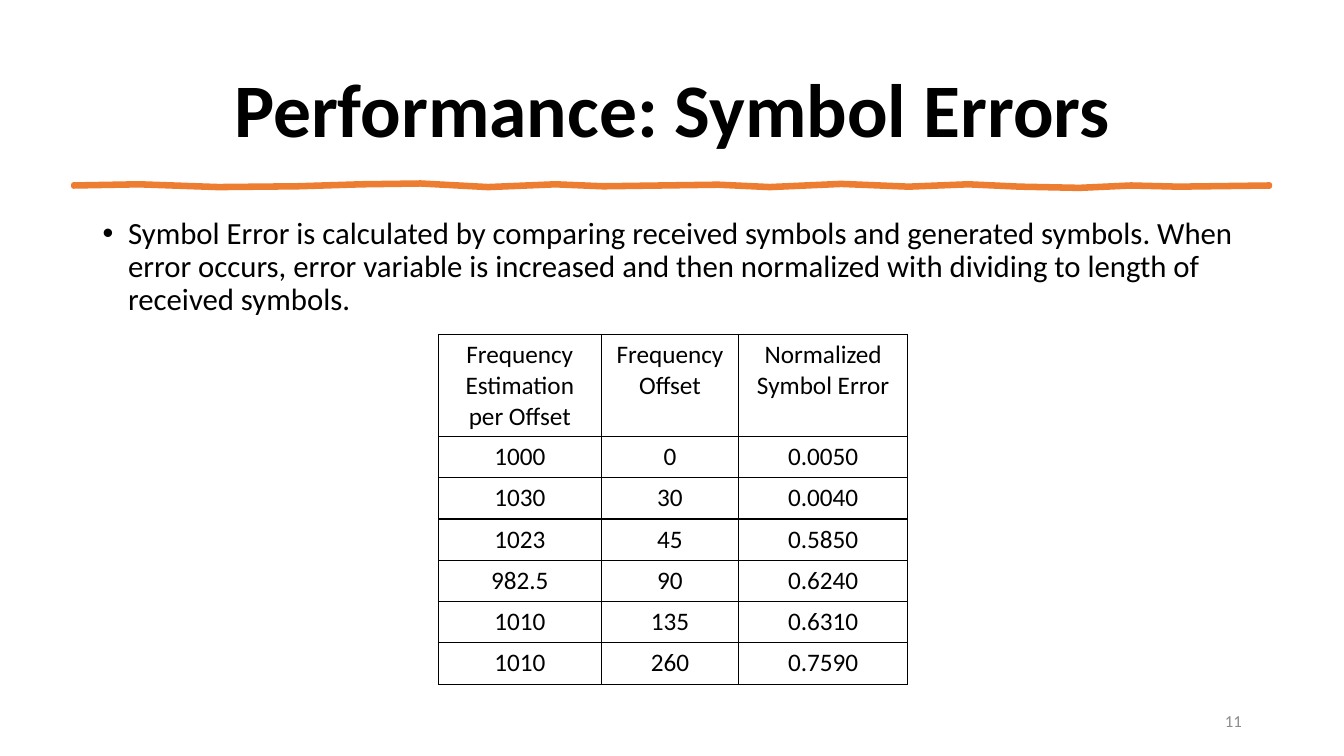
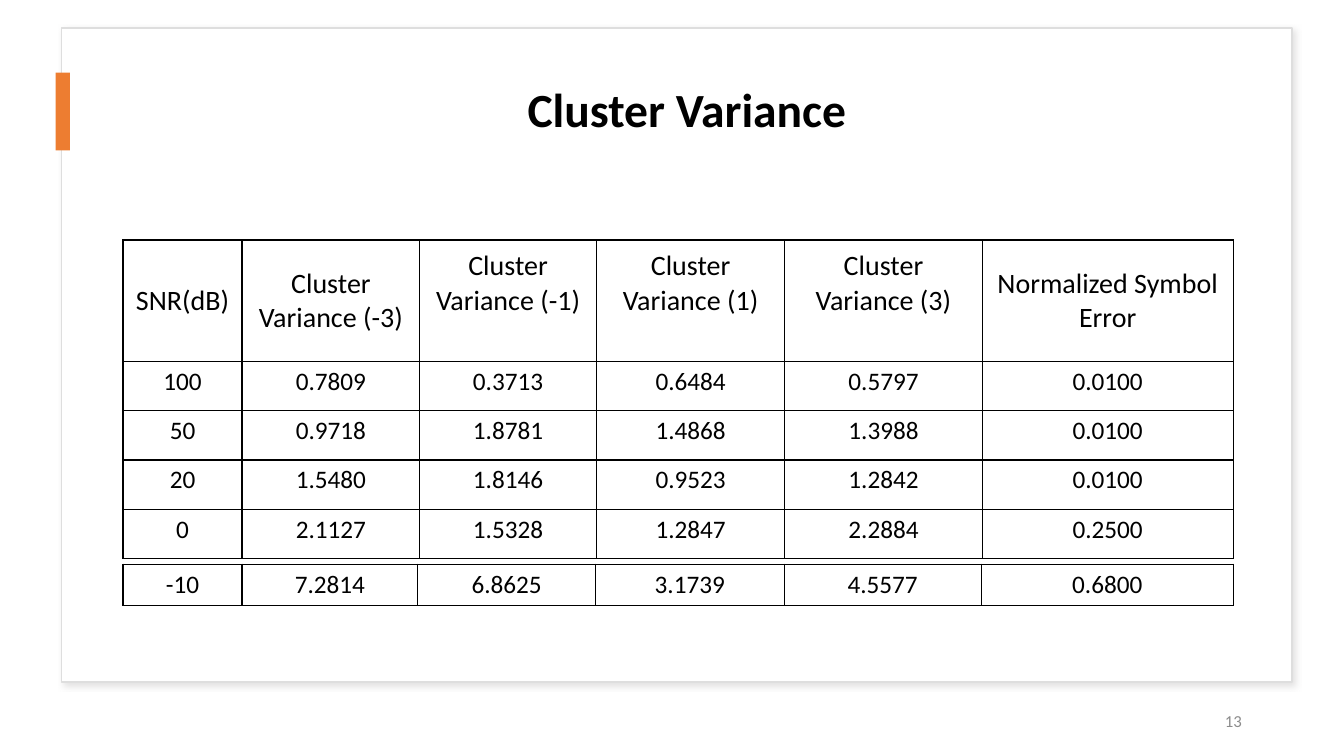
from lxml import etree
from pptx import Presentation
from pptx.dml.color import RGBColor
from pptx.enum import shapes, text
from pptx.oxml import ns
from pptx.util import Cm, Pt

BLACK = RGBColor(0x00, 0x00, 0x00)
WHITE = RGBColor(0xFF, 0xFF, 0xFF)
ORANGE = RGBColor(0xED, 0x7D, 0x31)
GREY = RGBColor(0x8C, 0x8C, 0x8C)
CARD_EDGE = RGBColor(0xDE, 0xDE, 0xDE)
CARD_SHADOW = RGBColor(0xC5, 0xC3, 0xC3)
FONT = "Calibri"
CENTER, RIGHT = text.PP_ALIGN.CENTER, text.PP_ALIGN.RIGHT
TOP, MIDDLE = text.MSO_ANCHOR.TOP, text.MSO_ANCHOR.MIDDLE


def add_xml(parent, tag, **attributes):
    return etree.SubElement(parent, ns.qn(tag), **attributes)


def write(frame, content, size=18, color=BLACK, bold=False, align=None,
          spacing=None, bullet=False):
    """Put one formatted paragraph into a text frame."""
    frame.word_wrap = True
    paragraph = frame.paragraphs[0]
    paragraph.alignment = align
    paragraph.line_spacing = spacing
    if bullet:
        properties = paragraph._p.get_or_add_pPr()
        properties.set("marL", str(Cm(0.64)))
        properties.set("indent", str(-Cm(0.64)))
        add_xml(properties, "a:buFont", typeface="Arial")
        add_xml(properties, "a:buChar", char="•")
    run = paragraph.add_run()
    run.text = content
    run.font.name = FONT
    run.font.size = Pt(size)
    run.font.bold = bold
    run.font.color.rgb = color


class Deck:
    """Holds the shared style and the slide being built."""

    def __init__(self):
        self.presentation = Presentation()
        self.presentation.slide_width = Cm(33.87)
        self.presentation.slide_height = Cm(19.05)
        self.slide = None

    def new_slide(self, number):
        blank = self.presentation.slide_layouts[6]
        self.slide = self.presentation.slides.add_slide(blank)
        self.text(str(number), 23.93, 17.65, 7.62, 1.02, anchor=MIDDLE,
                  size=12, color=GREY, align=RIGHT)

    def text(self, content, left, top, width, height, anchor=TOP, **style):
        box = self.slide.shapes.add_textbox(Cm(left), Cm(top), Cm(width), Cm(height))
        box.text_frame.vertical_anchor = anchor
        write(box.text_frame, content, **style)

    def title(self, content, left, top, width, height, size):
        self.text(content, left, top, width, height, anchor=MIDDLE,
                  size=size, bold=True, align=CENTER, spacing=0.9)

    def paint(self, shape, fill, line=None, weight=1):
        shape.shadow.inherit = False
        shape.fill.solid()
        shape.fill.fore_color.rgb = fill
        if line is None:
            shape.line.fill.background()
        else:
            shape.line.color.rgb = line
            shape.line.width = Pt(weight)

    def rectangle(self, left, top, width, height, fill, line=None):
        shape = self.slide.shapes.add_shape(
            shapes.MSO_SHAPE.RECTANGLE, Cm(left), Cm(top), Cm(width), Cm(height))
        self.paint(shape, fill, line)
        return shape

    def card(self, left, top, width, height):
        """White panel with a soft shadow."""
        shape = self.rectangle(left, top, width, height, WHITE, CARD_EDGE)
        effects = shape._element.spPr.find(ns.qn("a:effectLst"))
        shadow = add_xml(effects, "a:outerShdw", blurRad=str(Pt(4)),
                         dist=str(Pt(3)), dir=str(45 * 60000), rotWithShape="0")
        color = add_xml(shadow, "a:srgbClr", val=str(CARD_SHADOW))
        add_xml(color, "a:alpha", val="50000")

    def brush_stroke(self, points, thickness):
        """Uneven hand-drawn rule that follows the given points."""
        upper = [(Cm(x), Cm(y)) for x, y in points]
        lower = [(Cm(x), Cm(y + thickness)) for x, y in reversed(points)]
        builder = self.slide.shapes.build_freeform(*upper[0], scale=1.0)
        builder.add_line_segments(upper[1:] + lower, close=True)
        self.paint(builder.convert_to_shape(), ORANGE, ORANGE, 3.25)

    def table(self, left, top, widths, heights, rows, header_size=18,
              header_anchor=TOP, raised=()):
        """Ruled table; raised lists header columns set half a line higher."""
        table = self.slide.shapes.add_table(
            len(rows), len(widths), Cm(left), Cm(top),
            Cm(sum(widths)), Cm(sum(heights))).table
        table.first_row = table.horz_banding = False
        for column, width in zip(table.columns, widths):
            column.width = Cm(width)
        for index, (row, height) in enumerate(zip(table.rows, heights)):
            row.height = Cm(height)
            header = index == 0
            for position, (cell, content) in enumerate(zip(row.cells, rows[index])):
                self.border(cell)
                cell.fill.background()
                cell.vertical_anchor = header_anchor if header else TOP
                if header and position in raised:
                    cell.margin_bottom = Cm(1)
                write(cell.text_frame, content, align=CENTER,
                      size=header_size if header else 18)

    def border(self, cell):
        properties = cell._tc.get_or_add_tcPr()
        for side in ("a:lnL", "a:lnR", "a:lnT", "a:lnB"):
            line = add_xml(properties, side, w=str(Pt(1)))
            add_xml(add_xml(line, "a:solidFill"), "a:srgbClr", val=str(BLACK))


def symbol_errors(deck):
    deck.new_slide(11)
    deck.title("Performance: Symbol Errors", 2.34, 1.02, 29.21, 3.68, size=54)
    deck.brush_stroke(
        [(1.85, 4.65), (3.5, 4.62), (5.5, 4.69), (7.5, 4.67), (9.1, 4.62),
         (10.6, 4.6), (12.3, 4.69), (14, 4.62), (15.2, 4.67), (18.1, 4.63),
         (19.4, 4.69), (21.2, 4.61), (22.9, 4.68), (24.4, 4.62), (25.7, 4.68),
         (27.2, 4.71), (28.5, 4.65), (29.7, 4.68), (32, 4.65)], thickness=0.05)
    deck.text("Symbol Error is calculated by comparing received symbols and "
              "generated symbols. When error occurs, error variable is increased "
              "and then normalized with dividing to length of received symbols.",
              2.34, 5.36, 29.21, 11.81, size=22, spacing=0.9, bullet=True)
    deck.table(11.05, 8.43, [4.1, 3.47, 4.25], [2.57] + [1.04] * 6, [
        ["Frequency Estimation per Offset", "Frequency Offset",
         "Normalized Symbol Error"],
        ["1000", "0", "0.0050"],
        ["1030", "30", "0.0040"],
        ["1023", "45", "0.5850"],
        ["982.5", "90", "0.6240"],
        ["1010", "135", "0.6310"],
        ["1010", "260", "0.7590"],
    ])


def cluster_variance(deck):
    deck.new_slide(13)
    deck.card(1.55, 0.71, 31.01, 16.48)
    deck.title("Cluster Variance", 3.1, 1.42, 28.42, 2.82, size=34)
    deck.rectangle(1.4, 1.83, 0.36, 1.96, ORANGE)

    # Main table, then the last case as a separate strip
    deck.table(3.1, 6.05, [3, 4.48, 4.45, 4.75, 4.97, 6.33], [3.06] + [1.24] * 4, [
        ["SNR(dB)", "Cluster Variance (-3)", "Cluster Variance (-1)",
         "Cluster Variance (1)", "Cluster Variance (3)", "Normalized Symbol Error"],
        ["100", "0.7809", "0.3713", "0.6484", "0.5797", "0.0100"],
        ["50", "0.9718", "1.8781", "1.4868", "1.3988", "0.0100"],
        ["20", "1.5480", "1.8146", "0.9523", "1.2842", "0.0100"],
        ["0", "2.1127", "1.5328", "1.2847", "2.2884", "0.2500"],
    ], header_size=20, header_anchor=MIDDLE, raised=(2, 3, 4))
    deck.table(3.1, 14.22, [3, 4.43, 4.48, 4.75, 4.97, 6.35], [1.04], [
        ["-10", "7.2814", "6.8625", "3.1739", "4.5577", "0.6800"]])


def main():
    deck = Deck()
    symbol_errors(deck)
    cluster_variance(deck)
    deck.presentation.save("out.pptx")


if __name__ == "__main__":
    main()
